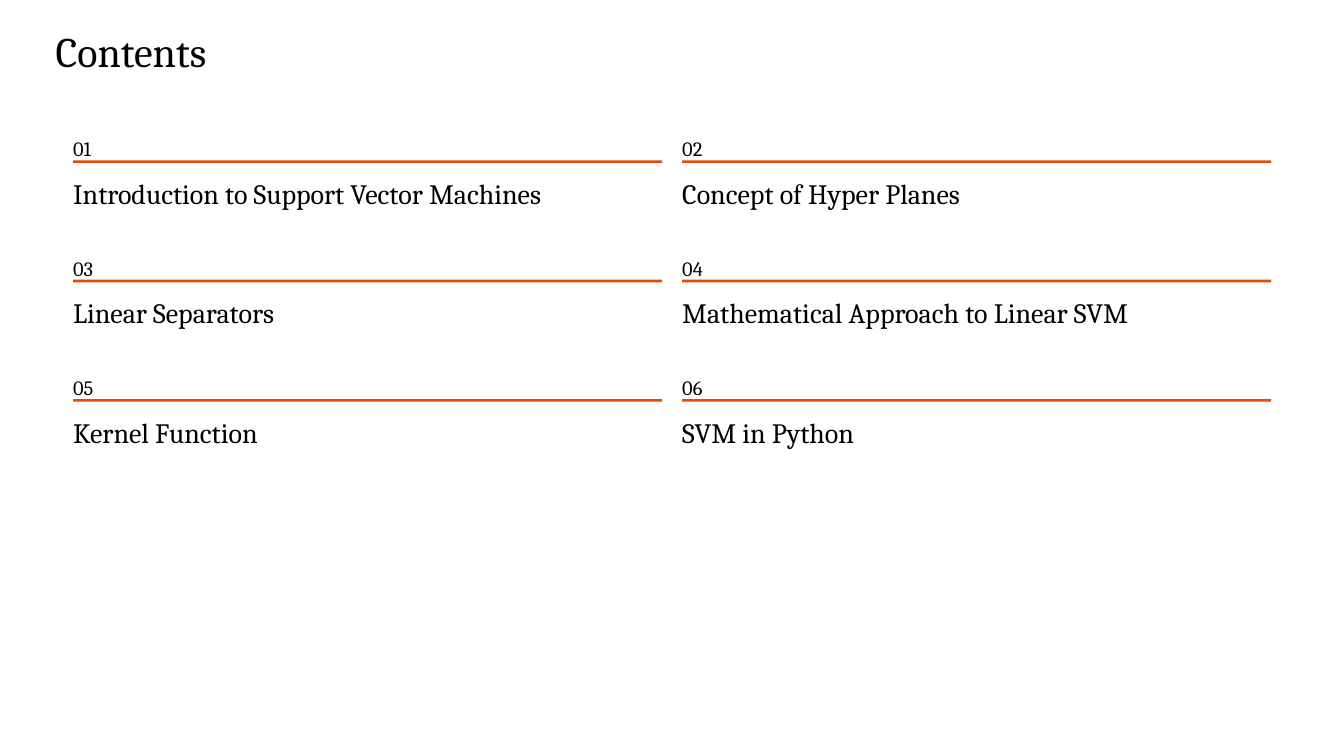
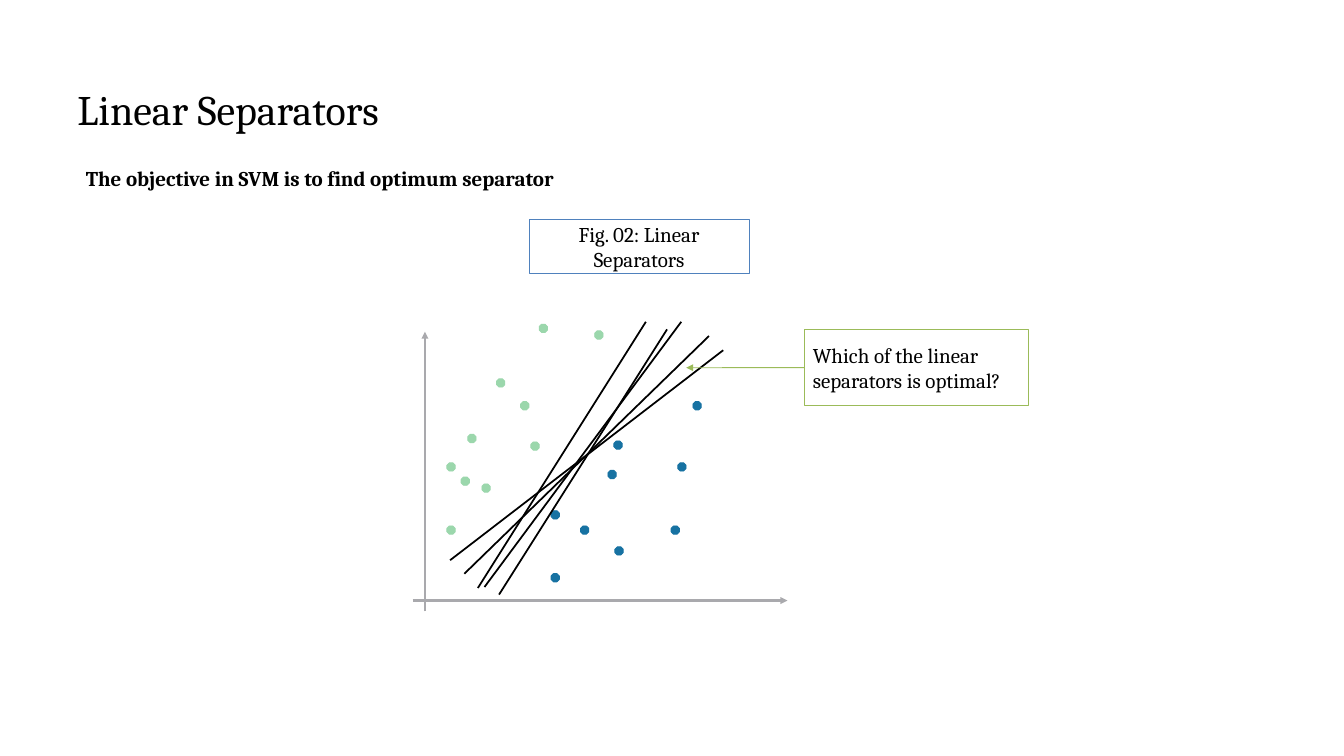
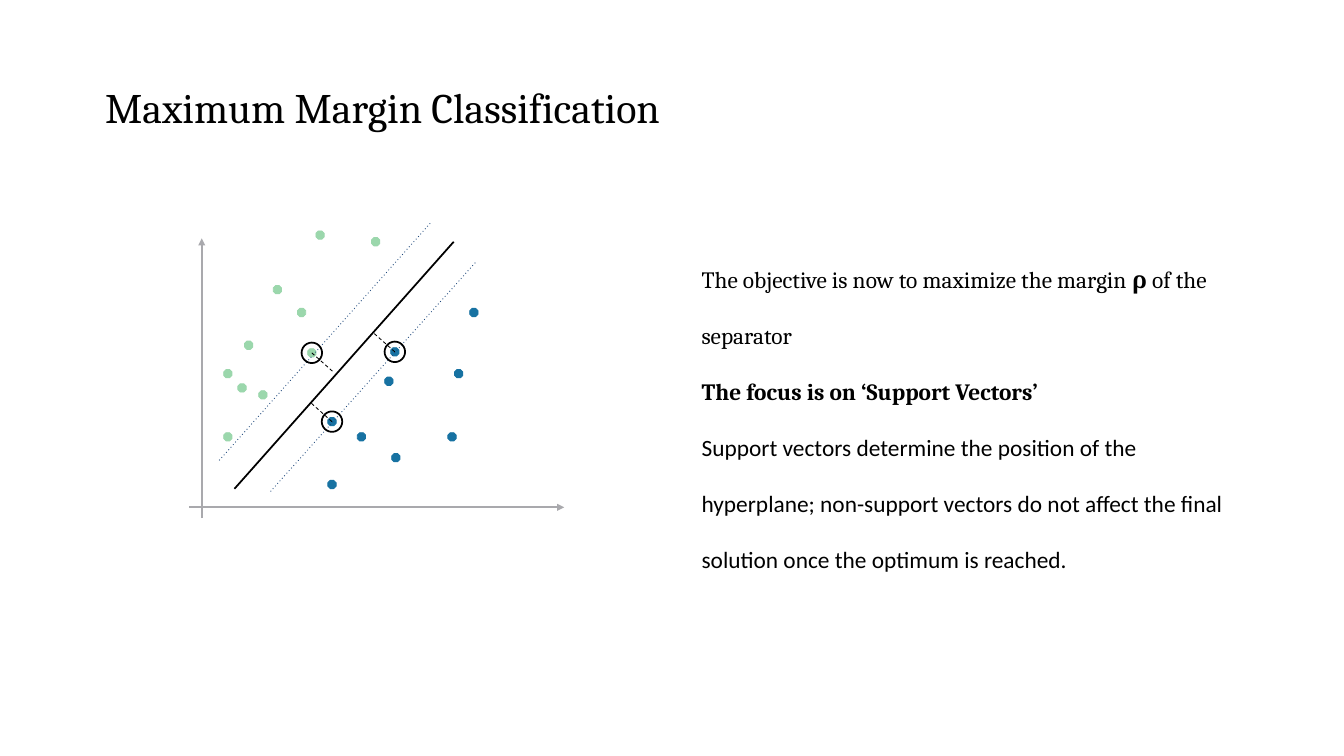
from dataclasses import dataclass
from itertools import product

from lxml.etree import SubElement
from pptx import Presentation
from pptx.dml.color import RGBColor
from pptx.enum.shapes import MSO_CONNECTOR, MSO_SHAPE
from pptx.enum.text import MSO_ANCHOR, MSO_AUTO_SIZE, PP_ALIGN
from pptx.oxml.ns import qn
from pptx.util import Cm, Pt


@dataclass(frozen=True)
class Theme:
    ink: str = "000000"
    rule: str = "E04F00"
    axis: str = "A9A9AD"
    green: str = "9BD7AC"
    blue: str = "1772A2"
    frame: str = "4F81BD"
    call: str = "9BBB59"
    edge: str = "1F497D"
    serif: str = "Cambria"
    sans: str = "Calibri"
    title: float = 36
    item: float = 24
    body: float = 20
    note: float = 18
    mark: float = 17.5
    thin: float = 0.75
    bold: float = 1.5
    thick: float = 2


THEME = Theme()

TOPICS = [
    "Introduction to Support Vector Machines",
    "Concept of Hyper Planes",
    "Linear Separators",
    "Mathematical Approach to Linear SVM",
    "Kernel Function",
    "SVM in Python",
]
GREENS = [
    (3.02, 5.89), (1.42, 4.9), (1.85, 3.4), (0.79, 2.13), (2.29, 6.58),
    (0.79, 4.04), (1.22, 3.61), (3.33, 4.67), (3.58, 8.23), (5.26, 8.03),
]
BLUES = [
    (5.84, 4.7), (4.83, 2.13), (7.57, 2.13), (3.94, 0.69), (5.66, 3.81),
    (3.94, 2.59), (5.87, 1.5), (7.77, 4.04), (8.23, 5.89),
]
CUTS = [
    ((1.8, 0.41), (7.75, 8.43)),
    ((0.76, 1.22), (9.02, 7.57)),
    ((2.24, 0.18), (7.32, 8.2)),
    ((1.6, 0.38), (6.68, 8.43)),
    ((1.19, 0.81), (8.59, 8)),
]
BEST = ((0.99, 0.56), (7.62, 8.03))
EDGES = [((2.08, 0.48), (8.31, 7.44)), ((0.53, 1.42), (6.91, 8.59))]
HELD = [(GREENS[7], 1), (BLUES[0], -1), (BLUES[5], -1)]


def tint(name):
    return RGBColor.from_string(name)


def write(para, text, size=THEME.note, font=THEME.serif, bold=False,
          align=PP_ALIGN.LEFT, space=None):
    para.alignment = align
    para.space_before = Pt(0)
    if space:
        para.line_spacing = space
    run = para.add_run()
    run.text = text
    run.font.size = Pt(size)
    run.font.name = font
    run.font.bold = bold
    run.font.color.rgb = tint(THEME.ink)


class Deck:
    def __init__(self, theme):
        self.theme = theme
        self.show = Presentation()
        self.show.slide_width = Cm(40.64)
        self.show.slide_height = Cm(22.86)
        self.slide = None

    def page(self, title, left, top, layout):
        self.slide = self.show.slides.add_slide(self.show.slide_layouts[layout])
        frame = self.place(self.slide.shapes.title, left, top, 37.4, 1.57)
        frame.margin_left = frame.margin_right = 0
        frame.margin_top = frame.margin_bottom = 0
        write(frame.paragraphs[0], title, size=self.theme.title)

    def place(self, shape, left, top, width, height):
        shape.left, shape.top = Cm(left), Cm(top)
        shape.width, shape.height = Cm(width), Cm(height)
        frame = shape.text_frame
        frame.word_wrap = True
        frame.auto_size = MSO_AUTO_SIZE.NONE
        frame.vertical_anchor = MSO_ANCHOR.TOP
        return frame

    def body(self, left, top, width, height, paras):
        frame = self.place(self.slide.placeholders[1], left, top, width, height)
        for index, runs in enumerate(paras):
            para = frame.add_paragraph() if index else frame.paragraphs[0]
            props = para._p.get_or_add_pPr()
            props.set("marL", "0")
            props.set("indent", "0")
            SubElement(props, qn("a:buNone"))
            for text, style in runs:
                write(para, text, **style)

    def label(self, text, left, top, width, height, **style):
        box = self.slide.shapes.add_textbox(0, 0, 0, 0)
        frame = self.place(box, left, top, width, height)
        frame.margin_left = frame.margin_right = 0
        frame.margin_top = frame.margin_bottom = 0
        write(frame.paragraphs[0], text, **style)

    def shape(self, kind, left, top, width, height, fill=None, line=None, weight=THEME.thin):
        shape = self.slide.shapes.add_shape(kind, Cm(left), Cm(top), Cm(width), Cm(height))
        shape.shadow.inherit = False
        if fill:
            shape.fill.solid()
            shape.fill.fore_color.rgb = tint(fill)
        else:
            shape.fill.background()
        if line:
            shape.line.color.rgb = tint(line)
            shape.line.width = Pt(weight)
        else:
            shape.line.fill.background()
        return shape

    def box(self, text, left, top, width, height, line, **style):
        shape = self.shape(MSO_SHAPE.RECTANGLE, left, top, width, height, line=line)
        shape.text_frame.word_wrap = True
        shape.text_frame.vertical_anchor = MSO_ANCHOR.MIDDLE
        write(shape.text_frame.paragraphs[0], text, **style)
        return shape

    def line(self, start, end, color=THEME.ink, weight=THEME.bold, dash=None, arrow=False):
        ends = [Cm(value) for value in (*start, *end)]
        line = self.slide.shapes.add_connector(MSO_CONNECTOR.STRAIGHT, *ends)
        line.line.color.rgb = tint(color)
        line.line.width = Pt(weight)
        props = line.element.spPr
        stroke = props.find(qn("a:ln"))
        if dash:
            SubElement(stroke, qn("a:prstDash")).set("val", dash)
        if arrow:
            SubElement(stroke, qn("a:tailEnd")).set("type", "triangle")
        SubElement(props, qn("a:effectLst"))
        return line

    def plot(self, left, base):
        def spot(point):
            return left + point[0], base - point[1]

        def draw(start, end, **style):
            self.line(spot(start), spot(end), **style)

        def disc(kind, point, size, **style):
            x, y = spot(point)
            self.shape(kind, x - size / 2, y - size / 2, size, size, **style)

        theme = self.theme
        for start, end in [((0, -0.33), (0, 8.13)), ((-0.37, 0), (10.96, 0))]:
            draw(start, end, color=theme.axis, weight=theme.thick, arrow=True)
        for points, color in [(GREENS, theme.green), (BLUES, theme.blue)]:
            for point in points:
                disc(MSO_SHAPE.OCTAGON, point, 0.25, fill=color, line=color)
        return draw, disc


def contents(deck):
    deck.page("Contents", 1.68, 0.76, 5)
    cells = product(range(3), range(2))
    for index, (topic, (row, col)) in enumerate(zip(TOPICS, cells), 1):
        left, top, width = 2.21 + 18.42 * col, 3.86 + 3.61 * row, 17.81
        deck.label(f"{index:02}", left, top, width, 0.79,
                   size=deck.theme.mark, space=Pt(28.5))
        deck.shape(MSO_SHAPE.RECTANGLE, left, top + 0.99, width, 0.08, fill=deck.theme.rule)
        deck.label(topic, left, top + 1.47, width, 1.04, size=deck.theme.item)


def linear(deck):
    theme = deck.theme
    deck.page("Linear Separators", 2.34, 2.51, 1)
    goal = "The objective in SVM is to find optimum separator"
    deck.body(2.34, 4.5, 20.32, 1.3, [[(goal, dict(bold=True, space=1.5))]])
    draw, _ = deck.plot(12.85, 18.16)
    deck.box("Fig. 02: Linear Separators", 16, 6.63, 6.65, 1.65, theme.frame,
             align=PP_ALIGN.CENTER)
    for start, end in CUTS:
        draw(start, end)
    ask = deck.box("Which of the linear separators is optimal?",
                   24.33, 9.96, 6.78, 2.31, theme.call)
    arrow = deck.line((24.33, 11.12), (20.75, 11.12), color=theme.call,
                      weight=theme.thin, arrow=True)
    arrow.begin_connect(ask, 1)


def margin(deck):
    theme = deck.theme
    deck.page("Maximum Margin Classification", 3.18, 2.46, 1)
    plain = dict(size=theme.body, space=2.0)
    strong = dict(plain, bold=True)
    deck.body(20.96, 7.04, 16.59, 12.45, [
        [("The objective is now to maximize the margin ", plain),
         ("ρ", strong), (" of the separator", plain)],
        [("The focus is on ‘Support Vectors’", strong)],
        [("Support vectors determine the position of the hyperplane; "
          "non-support vectors do not affect the final solution once "
          "the optimum is reached.", dict(plain, font=theme.sans))],
    ])
    draw, disc = deck.plot(6.1, 15.34)
    draw(*BEST)
    for start, end in EDGES:
        draw(start, end, color=theme.edge, weight=theme.thin, dash="dot")
    for point, side in HELD:
        x, y = point
        disc(MSO_SHAPE.OVAL, point, 0.62, line=theme.ink, weight=theme.bold)
        draw(point, (x + 0.63 * side, y - 0.56 * side), weight=theme.thin, dash="dash")


def main():
    deck = Deck(THEME)
    for build in (contents, linear, margin):
        build(deck)
    deck.show.save("out.pptx")


if __name__ == "__main__":
    main()
